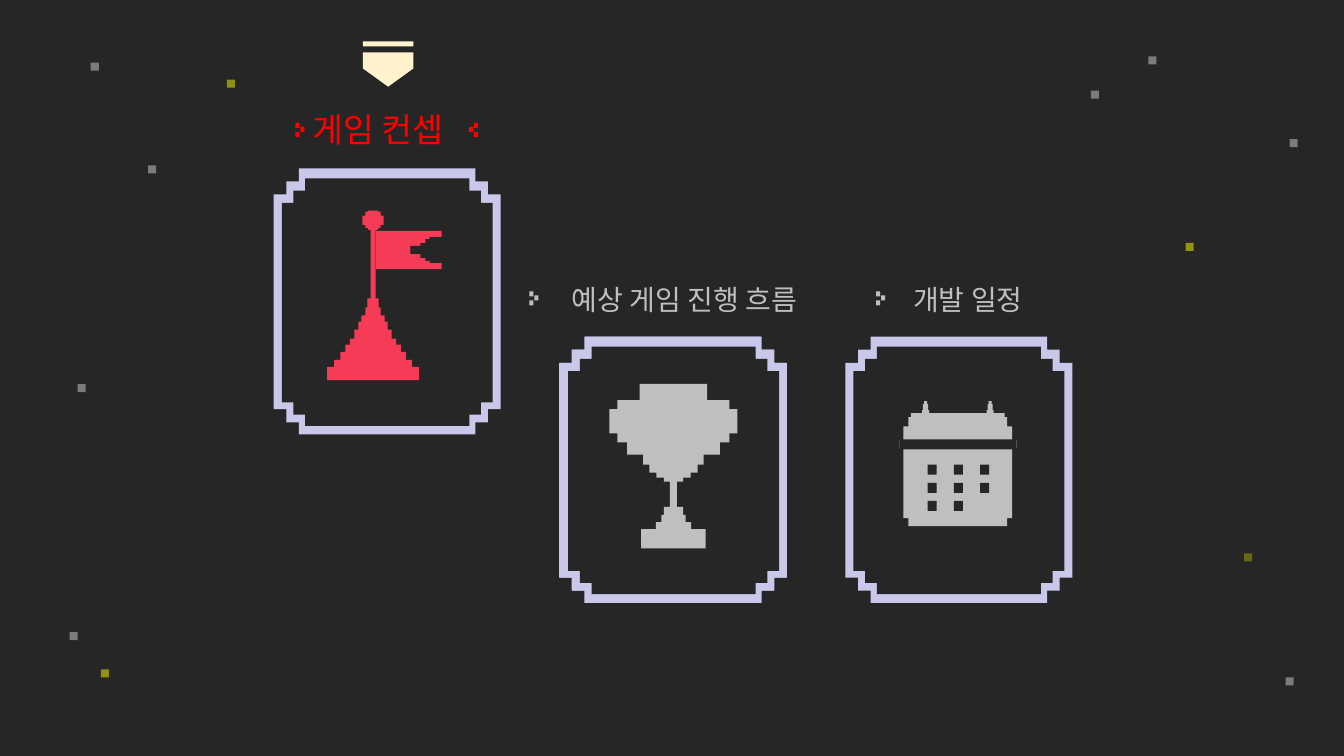
from lxml.etree import SubElement
from pptx import Presentation
from pptx.dml.color import RGBColor
from pptx.enum.shapes import MSO_SHAPE as Preset
from pptx.enum.text import MSO_ANCHOR as Anchor, MSO_AUTO_SIZE as AutoSize, PP_ALIGN as Align
from pptx.oxml.ns import qn
from pptx.util import Cm, Pt

FONT = "Noto Sans CJK KR"
DARK, SILVER, LILAC = "262626", "BFBFBF", "C9C8EA"
RED, CORAL, CREAM = "FF0000", "F63B56", "FFF2CC"
WHITE, YELLOW = "FFFFFF", "FFFF00"


def length(inches):
    return Cm(inches * 2.54)


def color(hex_code):
    return RGBColor.from_string(hex_code)


def tiers(center, steps, bottom):
    """Outline of centred blocks stacked downwards; steps are (top, width)."""
    ends = [top for top, _ in steps[1:]] + [bottom]
    right = []
    for (top, width), end in zip(steps, ends):
        right += [(center + width / 2, top), (center + width / 2, end)]
    return right + [(2 * center - x, y) for x, y in reversed(right)]


class PixelSlide:
    def __init__(self, deck):
        self.slide = deck.slides.add_slide(deck.slide_layouts[5])
        self.shapes = self.slide.shapes
        self.slide.background.fill.solid()
        self.slide.background.fill.fore_color.rgb = color(DARK)

    def paint(self, shape, fill, opacity=100):
        shape.shadow.inherit = False
        shape.line.fill.background()
        shape.fill.solid()
        shape.fill.fore_color.rgb = color(fill)
        if opacity < 100:
            tint = shape._element.spPr.find(".//" + qn("a:srgbClr"))
            SubElement(tint, qn("a:alpha"), val=str(opacity * 1000))

    def block(self, left, top, width, height, fill, opacity=100):
        box = map(length, (left, top, width, height))
        self.paint(self.shapes.add_shape(Preset.RECTANGLE, *box), fill, opacity)

    def outline(self, fill, *contours):
        builder = None
        for contour in contours:
            start, *rest = [(length(x), length(y)) for x, y in contour]
            if builder is None:
                builder = self.shapes.build_freeform(*start)
            else:
                builder.move_to(*start)
            builder.add_line_segments(rest, close=True)
        self.paint(builder.convert_to_shape(), fill)

    def notched(self, left, top, fill, scale=1.0):
        steps = [(0, 1.75), (0.13, 2), (0.26, 2.25), (2.39, 2), (2.52, 1.75)]
        scaled = [(top + y * scale, width * scale) for y, width in steps]
        self.outline(fill, tiers(left + 1.13 * scale, scaled, top + 2.64 * scale))

    def frame(self, left, top):
        self.notched(left, top, LILAC)
        self.notched(left + 0.08, top + 0.1, DARK, 0.93)

    def pointer(self, left, top, fill, facing_right=True):
        tip, tail = (0.05, 0) if facing_right else (0, 0.05)
        for x, y in [(tip, 0.04), (tail, 0), (tail, 0.09)]:
            self.block(left + x, top + y, 0.04, 0.05, fill)

    def set_text(self, holder, text, size, fill, align):
        frame = holder.text_frame
        frame.text = text
        frame.word_wrap = False
        frame.auto_size = AutoSize.SHAPE_TO_FIT_TEXT
        frame.vertical_anchor = Anchor.TOP
        paragraph = frame.paragraphs[0]
        paragraph.alignment = align
        font = paragraph.font
        font.size, font.name, font.color.rgb = Pt(size), FONT, color(fill)
        SubElement(font._element, qn("a:ea"), typeface=FONT)

    def title(self, text, left, top, width, height):
        heading = self.shapes.title
        heading.left, heading.top = length(left), length(top)
        heading.width, heading.height = length(width), length(height)
        self.set_text(heading, text, 24, RED, Align.LEFT)

    def label(self, text, left, top, width, height):
        box = self.shapes.add_textbox(*map(length, (left, top, width, height)))
        self.set_text(box, text, 20, SILVER, Align.CENTER)


def main():
    deck = Presentation()
    deck.slide_width, deck.slide_height = length(13.33), length(7.5)
    menu = PixelSlide(deck)

    # Stars
    stars = [
        (WHITE, 40, [(1.47, 1.64), (11.39, 0.56), (10.82, 0.9), (0.69, 6.27), (12.75, 6.72),
                     (0.9, 0.62), (0.77, 3.81), (12.79, 1.38)]),
        (YELLOW, 50, [(2.25, 0.79), (11.76, 2.41), (1, 6.64)]),
        (YELLOW, 30, [(12.34, 5.49)]),
    ]
    for fill, opacity, places in stars:
        for left, top in places:
            menu.block(left, top, 0.08, 0.08, fill, opacity)

    # Selection badge
    menu.outline(
        CREAM,
        [(3.6, 0.52), (4.1, 0.52), (4.1, 0.68), (3.85, 0.86), (3.6, 0.68)],
        [(3.6, 0.41), (4.1, 0.41), (4.1, 0.46), (3.6, 0.46)],
    )

    # Selected item: flag
    menu.title("게임 컨셉", 3, 1.03, 1.67, 0.5)
    menu.pointer(2.93, 1.22, RED)
    menu.pointer(4.65, 1.22, RED, facing_right=False)
    menu.frame(2.71, 1.67)
    mast = [(2.09, 0.1), (2.1, 0.15), (2.14, 0.21), (2.23, 0.15), (2.26, 0.1), (2.28, 0.05),
            (2.96, 0.11), (3.05, 0.15), (3.13, 0.23), (3.19, 0.29), (3.27, 0.37), (3.36, 0.46),
            (3.42, 0.55), (3.49, 0.65), (3.57, 0.77), (3.64, 0.91)]
    banner = [(3.73, 2.29), (4.38, 2.29), (4.38, 2.35), (4.26, 2.35), (4.26, 2.37), (4.22, 2.37),
              (4.22, 2.41), (4.17, 2.41), (4.17, 2.56), (4.22, 2.56), (4.22, 2.59), (4.26, 2.59),
              (4.26, 2.61), (4.38, 2.61), (4.38, 2.67), (3.73, 2.67)]
    menu.outline(CORAL, tiers(3.7, mast, 3.77), banner)
    menu.block(4.01, 2.45, 0.22, 0.06, CORAL)
    menu.block(4.07, 2.44, 0.35, 0.08, DARK)

    # Second item: trophy
    menu.label("예상 게임 진행 흐름", 5.42, 2.75, 2.74, 0.44)
    menu.pointer(5.25, 2.89, SILVER)
    menu.notched(5.54, 3.34, LILAC)
    menu.frame(5.55, 3.34)
    trophy = [(3.81, 0.67), (3.97, 1.11), (4.06, 1.27), (4.3, 1.11), (4.39, 0.92), (4.51, 0.6),
              (4.61, 0.48), (4.69, 0.34), (4.74, 0.19), (4.78, 0.07), (5.03, 0.19), (5.11, 0.24),
              (5.18, 0.35), (5.25, 0.64)]
    menu.outline(SILVER, tiers(6.68, trophy, 5.44))

    # Third item: calendar
    menu.label("개발 일정", 8.89, 2.75, 1.42, 0.44)
    menu.pointer(8.69, 2.89, SILVER)
    menu.frame(8.38, 3.34)
    pages = [(4.1, 0.93), (4.14, 0.98), (4.23, 1.08), (4.37, 1.16), (4.45, 1.08), (5.14, 0.98)]
    ring = [(3.98, 0.03), (4.01, 0.05), (4.07, 0.07)]
    rings = [tiers(center, ring, 4.1) for center in (9.18, 9.82)]
    menu.outline(SILVER, tiers(9.5, pages, 5.22), *rings)
    menu.block(8.92, 4.36, 1.16, 0.1, DARK)
    for day in range(8):
        week, weekday = divmod(day, 3)
        menu.block(9.2 + 0.26 * weekday, 4.61 + 0.18 * week, 0.09, 0.1, DARK)

    deck.save("out.pptx")


if __name__ == "__main__":
    main()
